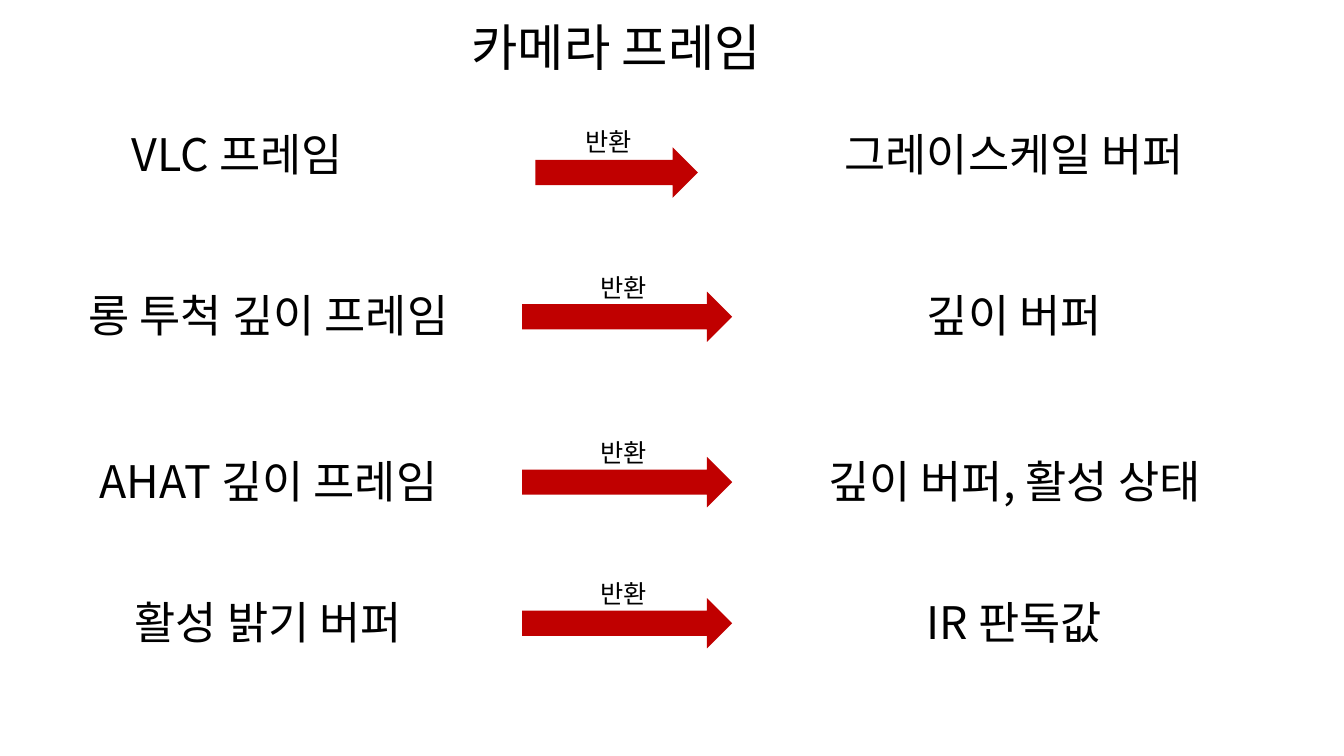
from pptx import Presentation
from pptx.dml.color import RGBColor
from pptx.enum.shapes import MSO_SHAPE
from pptx.enum.text import MSO_AUTO_SIZE, PP_ALIGN
from pptx.oxml.ns import qn
from pptx.util import Pt
from lxml import etree

TITLE = "카메라 프레임"
LABEL = "반환"
FIRST_ROW = ("VLC 프레임", "그레이스케일 버퍼")
GROUPED_ROWS = [
    (202.3, 85, "롱 투척 깊이 프레임", "깊이 버퍼"),
    (320.4, 46, "AHAT 깊이 프레임", "깊이 버퍼, 활성 상태"),
    (421.2, 46, "활성 밝기 버퍼", "IR 판독값"),
]
COLORS = {"text": "000000", "arrow": "C00000"}
FONT = "Noto Sans CJK KR"
CENTER, LEFT = PP_ALIGN.CENTER, PP_ALIGN.LEFT
RIGHT_ARROW = MSO_SHAPE.RIGHT_ARROW
NO_AUTOFIT = MSO_AUTO_SIZE.NONE


def add_text(shapes, text, x, y, w, h, size=32, align=CENTER):
    sp = shapes.add_textbox(Pt(x), Pt(y), Pt(w), Pt(h))
    tf = sp.text_frame
    tf.word_wrap = True
    tf.auto_size = NO_AUTOFIT
    p = tf.paragraphs[0]
    p.alignment = align
    r = p.add_run()
    r.text = text
    r.font.size = Pt(size)
    r.font.name = FONT
    r.font.color.rgb = RGBColor.from_string(COLORS["text"])
    etree.SubElement(r.font._element, qn("a:ea")).set("typeface", FONT)


def add_arrow(shapes, x, y, w):
    sp = shapes.add_shape(RIGHT_ARROW, Pt(x), Pt(y), Pt(w), Pt(36))
    sp.shadow.inherit = False
    sp.fill.solid()
    sp.fill.fore_color.rgb = RGBColor.from_string(COLORS["arrow"])
    sp.line.fill.background()


def add_first_row(shapes):
    source, result = FIRST_ROW
    add_text(shapes, source, 43.9, 87.1, 251.3, 46)
    add_arrow(shapes, 382.5, 105.3, 116)
    add_text(shapes, result, 566.6, 87.1, 316.1, 46)
    add_text(shapes, LABEL, 411.1, 86.4, 59, 29, 18, LEFT)


def add_grouped_row(shapes, y, source_h, source, result):
    add_text(shapes, source, 28.8, y, 326.2, source_h)
    add_arrow(shapes, 373, y + 6, 150)
    add_text(shapes, result, 519.8, y, 409.7, 46)
    add_text(shapes, LABEL, 421.9, y - 11.5, 76.3, 29, 18, LEFT)


def main():
    prs = Presentation()
    prs.slide_width, prs.slide_height = Pt(960), Pt(540)
    s = prs.slides.add_slide(prs.slide_layouts[6])
    add_text(s.shapes, TITLE, 314.6, 7.9, 251.3, 51, 36)
    add_first_row(s.shapes)
    for row in GROUPED_ROWS:
        add_grouped_row(s.shapes.add_group_shape().shapes, *row)
    prs.save("out.pptx")


if __name__ == "__main__":
    main()
